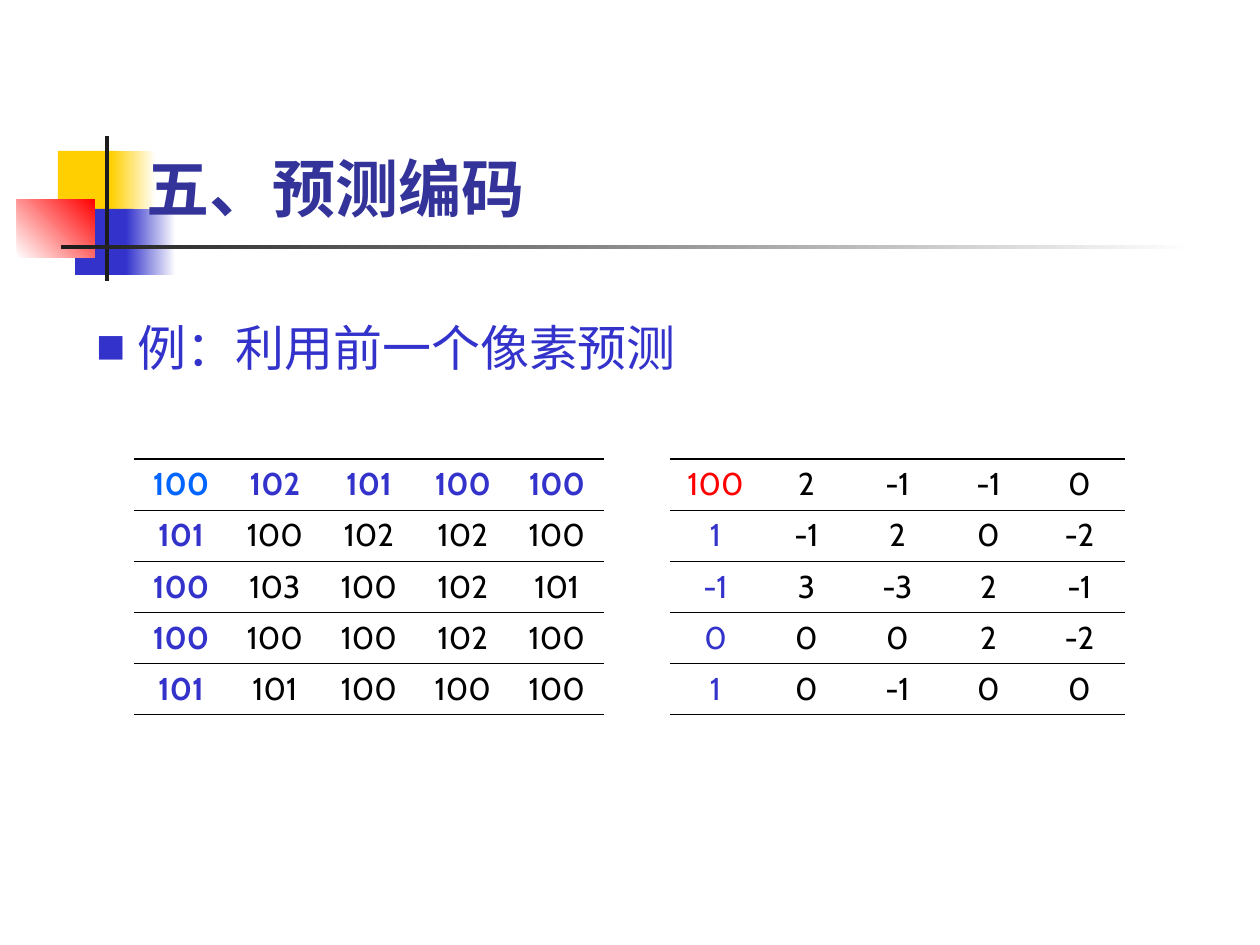
from lxml import etree
from pptx import Presentation
from pptx import util as u
from pptx.dml.color import RGBColor
from pptx.enum import shapes, text
from pptx.oxml import ns

SCALE = 914400 / 126
BLACK = RGBColor(0x00, 0x00, 0x00)
WHITE = RGBColor(0xFF, 0xFF, 0xFF)
DARK = RGBColor(0x1C, 0x1C, 0x1C)
GOLD = RGBColor(0xFF, 0xCF, 0x01)
RED = RGBColor(0xFF, 0x00, 0x00)
BLUE = RGBColor(0x33, 0x33, 0xCC)
NAVY = RGBColor(0x33, 0x33, 0x99)
SKY = RGBColor(0x00, 0x66, 0xFF)
HAN = "Noto Sans CJK SC"
THIN, THICK = 0.45, 1.08

DECOR = [
    ((58, 151, 60, 66), (GOLD,), 0),
    ((111, 151, 45, 66), (GOLD, WHITE), 0),
    ((75, 209, 58, 66), (BLUE,), 0),
    ((126, 209, 50, 66), (BLUE, WHITE), 0),
    ((17, 199, 78, 59), (WHITE, RED), 45),
    ((105, 136, 4, 145), (DARK,), 0),
    ((61, 245, 1134, 4), (DARK, WHITE), 0),
]
PIXELS = [
    [100, 102, 101, 100, 100],
    [101, 100, 102, 102, 100],
    [100, 103, 100, 102, 101],
    [100, 100, 100, 102, 100],
    [101, 101, 100, 100, 100],
]
ERRORS = [
    [100, 2, -1, -1, 0],
    [1, -1, 2, 0, -2],
    [-1, 3, -3, 2, -1],
    [0, 0, 0, 2, -2],
    [1, 0, -1, 0, 0],
]


def px(num):
    return u.Emu(round(num * SCALE))


def apply(item, vals):
    for key, val in vals.items():
        setattr(item, key, val)


def place(shape, box):
    apply(shape, dict(zip(("left", "top", "width", "height"), map(px, box))))


def node(root, tag, **attrs):
    return etree.SubElement(root, ns.qn(tag), attrs)


def write(para, words, color, **style):
    run = para.add_run()
    run.text = words
    apply(run.font, style)
    run.font.color.rgb = color
    node(run.font._element, "a:ea", typeface=HAN)


def add_block(slide, box, tones, angle):
    block = slide.shapes.add_shape(shapes.MSO_SHAPE.RECTANGLE, *map(px, box))
    block.shadow.inherit = False
    block.line.fill.background()
    if len(tones) == 1:
        block.fill.solid()
        block.fill.fore_color.rgb = tones[0]
        return
    block.fill.gradient()
    block.fill.gradient_angle = angle
    for stop, tone in zip(block.fill.gradient_stops, tones):
        stop.color.rgb = tone


def set_title(slide, words):
    title = slide.shapes.title
    slide.shapes.element.append(title.element)
    place(title, (134, 135, 1074, 96))
    frame = title.text_frame
    apply(frame, {"word_wrap": True, "auto_size": text.MSO_AUTO_SIZE.NONE,
                  "vertical_anchor": text.MSO_ANCHOR.BOTTOM})
    para = frame.paragraphs[0]
    para.alignment = text.PP_ALIGN.LEFT
    write(para, words, NAVY, name=HAN, size=u.Pt(36), bold=True)


def set_list(slide, words):
    body = slide.placeholders[1]
    slide.shapes.element.append(body.element)
    place(body, (84, 311, 735, 72))
    frame = body.text_frame
    apply(frame, {"word_wrap": True,
                  "auto_size": text.MSO_AUTO_SIZE.SHAPE_TO_FIT_TEXT})
    para = frame.paragraphs[0]
    props = para._p.get_or_add_pPr()
    props.set("marL", str(px(41)))
    props.set("indent", str(px(-41)))
    node(node(props, "a:buClr"), "a:srgbClr", val=str(BLUE))
    node(props, "a:buSzPct", val="60000")
    node(props, "a:buFont", typeface=HAN)
    node(props, "a:buChar", char="■")
    para.space_before = u.Pt(0)
    write(para, words, BLUE, name="Times New Roman", size=u.Pt(28))


def set_edges(cell, top, base):
    props = cell._tc.get_or_add_tcPr()
    for side, width in (("L", 0), ("R", 0), ("T", top), ("B", base)):
        edge = node(props, "a:ln" + side, w=str(u.Pt(width)))
        if width:
            node(node(edge, "a:solidFill"), "a:srgbClr", val=str(BLACK))
        else:
            node(edge, "a:noFill")
    cell.fill.background()


def add_grid(slide, left, pitch, rows, tint):
    count = len(rows)
    grid = slide.shapes.add_table(count, len(rows[0]), px(left), px(459),
                                  px(pitch * len(rows[0])),
                                  px(50 * count)).table
    apply(grid, {"first_row": False, "horz_banding": False})
    for col in grid.columns:
        col.width = px(pitch)
    for r, row in enumerate(rows):
        for c, val in enumerate(row):
            cell = grid.cell(r, c)
            set_edges(cell, THIN if r else THICK,
                      THIN if r < count - 1 else THICK)
            cell.vertical_anchor = text.MSO_ANCHOR.MIDDLE
            para = cell.text_frame.paragraphs[0]
            para.alignment = text.PP_ALIGN.CENTER
            color, bold = tint(r, c)
            write(para, str(val), color, name="Cabin", size=u.Pt(18),
                  bold=bold)


def pixel_tint(r, c):
    if r == c == 0:
        return SKY, True
    return (BLACK, False) if r and c else (BLUE, True)


def error_tint(r, c):
    if r == c == 0:
        return RED, False
    return (BLACK if c else BLUE), False


def main():
    deck = Presentation()
    apply(deck, {"slide_width": px(1260), "slide_height": px(945)})
    slide = deck.slides.add_slide(deck.slide_layouts[1])
    for box, tones, angle in DECOR:
        add_block(slide, box, tones, angle)
    set_title(slide, "五、预测编码")
    add_grid(slide, 134, 94, PIXELS, pixel_tint)
    add_grid(slide, 670, 91, ERRORS, error_tint)
    set_list(slide, "例：利用前一个像素预测")
    deck.save("out.pptx")


if __name__ == "__main__":
    main()
